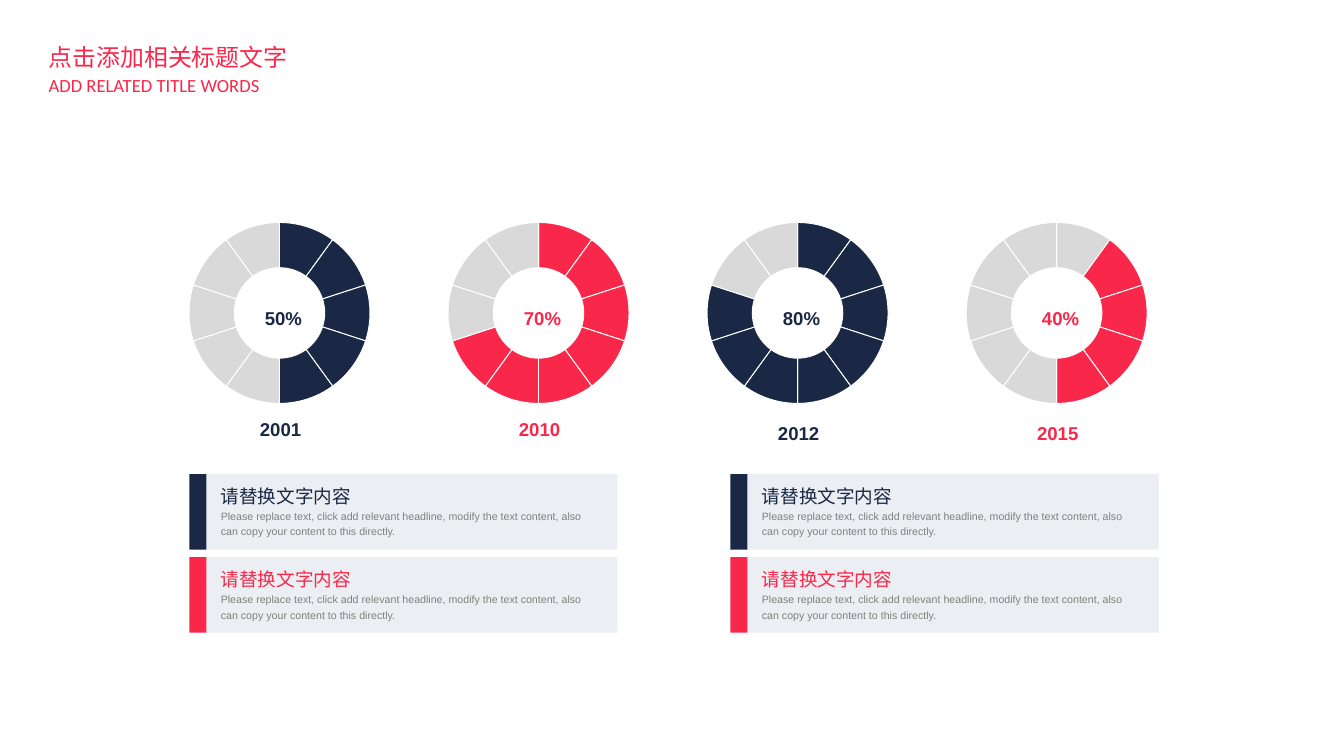
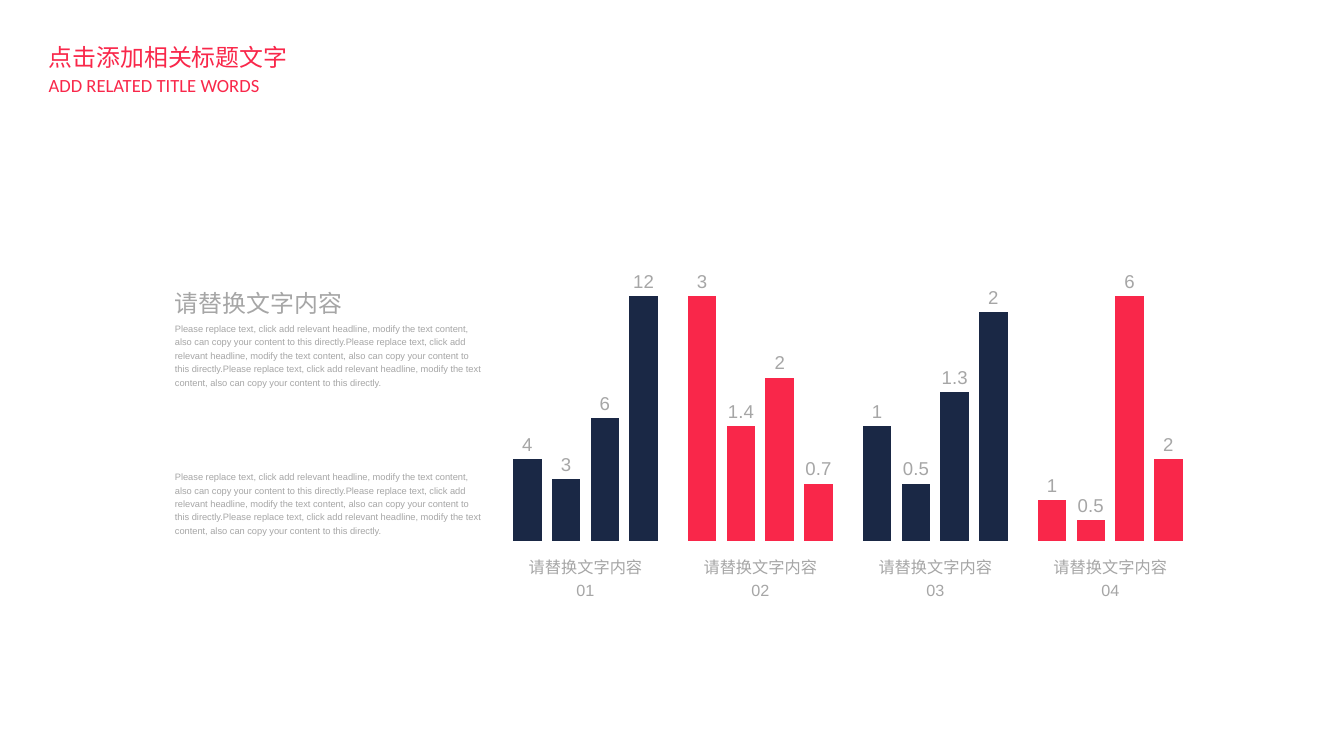
from pptx import Presentation
from pptx.chart.data import CategoryChartData
from pptx.dml.color import RGBColor
from pptx.enum.chart import XL_CHART_TYPE, XL_LABEL_POSITION
from pptx.enum.shapes import MSO_SHAPE
from pptx.enum.text import MSO_ANCHOR, MSO_AUTO_SIZE, PP_ALIGN
from pptx.oxml import parse_xml
from pptx.oxml.ns import nsdecls
from pptx.util import Inches, Pt

# Shared colours, text and formats
NAVY = RGBColor(0x1A, 0x28, 0x45)
RED = RGBColor(0xF9, 0x27, 0x4A)
EMPTY_GREY = RGBColor(0xD9, 0xD9, 0xD9)
PANEL_GREY = RGBColor(0xEB, 0xEE, 0xF2)
BODY_GREY = RGBColor(0x80, 0x80, 0x80)
LABEL_GREY = RGBColor(0xA6, 0xA6, 0xA6)
BLACK = RGBColor(0, 0, 0)
WHITE = RGBColor(0xFF, 0xFF, 0xFF)

HEADLINE = "请替换文字内容"
BODY = ("Please replace text, click add relevant headline, modify the text content, "
        "also can copy your content to this directly.")

NO_INSETS = {"margin_left": 0, "margin_top": 0, "margin_right": 0, "margin_bottom": 0}
ONE_LINE = {"word_wrap": False}
CENTERED = {"alignment": PP_ALIGN.CENTER, "line_spacing": 1.2}
SPACED = {"line_spacing": 1.2}
FIGURE_FONT = {"name": "Arial", "size": Pt(14), "bold": True}


def add_text(slide, box, lines, frame_format, paragraph_format):
    """Add a text box; each line is (text, font format, colour)."""
    frame = slide.shapes.add_textbox(*map(Inches, box)).text_frame
    frame.word_wrap = True
    frame.auto_size = MSO_AUTO_SIZE.SHAPE_TO_FIT_TEXT
    for name, value in frame_format.items():
        setattr(frame, name, value)
    for index, (text, font_format, color) in enumerate(lines):
        paragraph = frame.add_paragraph() if index else frame.paragraphs[0]
        for name, value in paragraph_format.items():
            setattr(paragraph, name, value)
        run = paragraph.add_run()
        run.text = text
        for name, value in font_format.items():
            setattr(run.font, name, value)
        run.font.color.rgb = color


def add_plain_chart(slide, kind, box, values, plot_box, size, color):
    """Add a one-series chart without title or legend, its plot at plot_box."""
    data = CategoryChartData()
    data.categories = [str(number) for number in range(1, len(values) + 1)]
    data.add_series("Series 1", values)
    chart = slide.shapes.add_chart(kind, *map(Inches, box), data).chart
    chart.has_title = chart.has_legend = False
    for name, value in {"name": "Arial", "size": Pt(size)}.items():
        setattr(chart.font, name, value)
    chart.font.color.rgb = color
    plot_area = chart.element.xpath("c:chart/c:plotArea")[0]
    for layout in plot_area.xpath("c:layout"):
        plot_area.remove(layout)
    x, y, w, h = plot_box
    plot_area.insert(0, parse_xml(
        f'<c:layout {nsdecls("c")}><c:manualLayout><c:layoutTarget val="inner"/>'
        '<c:xMode val="edge"/><c:yMode val="edge"/>'
        f'<c:x val="{x}"/><c:y val="{y}"/><c:w val="{w}"/><c:h val="{h}"/>'
        '</c:manualLayout></c:layout>'))
    return chart


presentation = Presentation()
presentation.slide_width = Inches(14.06)
presentation.slide_height = Inches(7.91)
blank = presentation.slide_layouts[6]
ring_slide, column_slide = [presentation.slides.add_slide(blank) for _ in range(2)]

# Titles on both slides
for slide in (ring_slide, column_slide):
    add_text(slide, (0.41, 0.4, 2.74, 0.41),
             [("点击添加相关标题文字", {"name": "Noto Sans CJK SC", "size": Pt(18)}, RED)],
             ONE_LINE, {})
    add_text(slide, (0.41, 0.72, 2.44, 0.34),
             [("ADD RELATED TITLE WORDS", {"name": "Calibri", "size": Pt(14)}, RED)],
             ONE_LINE, {})

# Rings: year, first filled slice, filled slices, colour, top of the year
RINGS = [("2001", 0, 5, NAVY, 4.33), ("2010", 0, 7, RED, 4.33),
         ("2012", 0, 8, NAVY, 4.37), ("2015", 1, 4, RED, 4.37)]
for index, (year, first, filled, color, year_top) in enumerate(RINGS):
    left = 1.84 + 2.71 * index
    ring = add_plain_chart(ring_slide, XL_CHART_TYPE.DOUGHNUT, (left, 2.12, 2.19, 2.31),
                           [10] * 10, (0.06, 0.09, 0.87, 0.82), 18, BLACK)
    ring.element.xpath(".//c:holeSize")[0].set("val", "80")
    for number in range(10):
        slice_format = ring.plots[0].series[0].points[number].format
        slice_format.fill.solid()
        is_filled = first <= number < first + filled
        slice_format.fill.fore_color.rgb = color if is_filled else EMPTY_GREY
        slice_format.line.color.rgb = WHITE
        slice_format.line.width = Pt(0.75)
    add_text(ring_slide, (left + 0.7, 3.11, 0.85, 0.38),
             [(f"{filled * 10}%", FIGURE_FONT, color)],
             {"vertical_anchor": MSO_ANCHOR.MIDDLE}, CENTERED)
    add_text(ring_slide, (left + 0.67, year_top, 0.85, 0.28),
             [(year, FIGURE_FONT, color)], NO_INSETS, CENTERED)

# Text panels, two by two
for left in (1.98, 7.64):
    for row, color in enumerate((NAVY, RED)):
        top = 4.96 + 0.87 * row
        for x, width, fill in ((left + 0.18, 4.3, PANEL_GREY), (left, 0.18, color)):
            panel = ring_slide.shapes.add_shape(
                MSO_SHAPE.RECTANGLE, *map(Inches, (x, top, width, 0.79)))
            panel.shadow.inherit = False
            panel.fill.solid()
            panel.fill.fore_color.rgb = fill
            panel.line.fill.background()
        add_text(ring_slide, (left + 0.33, top + 0.07, 3.9, 0.61),
                 [(HEADLINE, {"name": "Arial", "size": Pt(14)}, color),
                  (BODY, {"name": "Arial", "size": Pt(8)}, BODY_GREY)],
                 NO_INSETS, SPACED)

# Column charts: values, axis maximum, colour
COLUMNS = [((4, 3, 6, 12), 14, NAVY), ((3, 1.4, 2, 0.7), 3.5, RED),
           ((1, 0.5, 1.3, 2), 2.5, NAVY), ((1, 0.5, 6, 2), 7, RED)]
for index, (values, maximum, color) in enumerate(COLUMNS):
    left = 5.28 + 1.83 * index
    chart = add_plain_chart(column_slide, XL_CHART_TYPE.COLUMN_CLUSTERED,
                            (left, 2.61, 1.69, 3.11), values,
                            (0.02, 0.02, 0.96, 0.96), 14, LABEL_GREY)
    chart.value_axis.minimum_scale = 0
    chart.value_axis.maximum_scale = maximum
    chart.value_axis.has_major_gridlines = False
    chart.value_axis.visible = chart.category_axis.visible = False
    plot = chart.plots[0]
    for name, value in {"gap_width": 36, "overlap": -20, "vary_by_categories": False,
                        "has_data_labels": True}.items():
        setattr(plot, name, value)
    plot.series[0].format.fill.solid()
    plot.series[0].format.fill.fore_color.rgb = color
    labels = plot.data_labels
    labels.show_value = True
    labels.position = XL_LABEL_POSITION.OUTSIDE_END
    for name, value in {"name": "Arial", "size": Pt(14)}.items():
        setattr(labels.font, name, value)
    labels.font.color.rgb = LABEL_GREY
    add_text(column_slide, (left + 0.15, 5.79, 1.39, 0.5),
             [(f"{HEADLINE} {index + 1:02d}", {"name": "Arial", "size": Pt(12.2)}, LABEL_GREY)],
             NO_INSETS, CENTERED)

# Text beside the columns
add_text(column_slide, (1.83, 2.96, 2.8, 0.36),
         [(HEADLINE, {"name": "Arial", "size": Pt(18)}, LABEL_GREY)], NO_INSETS, SPACED)
for top in (3.36, 4.91):
    add_text(column_slide, (1.83, top, 3.21, 0.7),
             [(BODY * 3, {"name": "Arial", "size": Pt(7)}, LABEL_GREY)], NO_INSETS, SPACED)

presentation.save("out.pptx")
